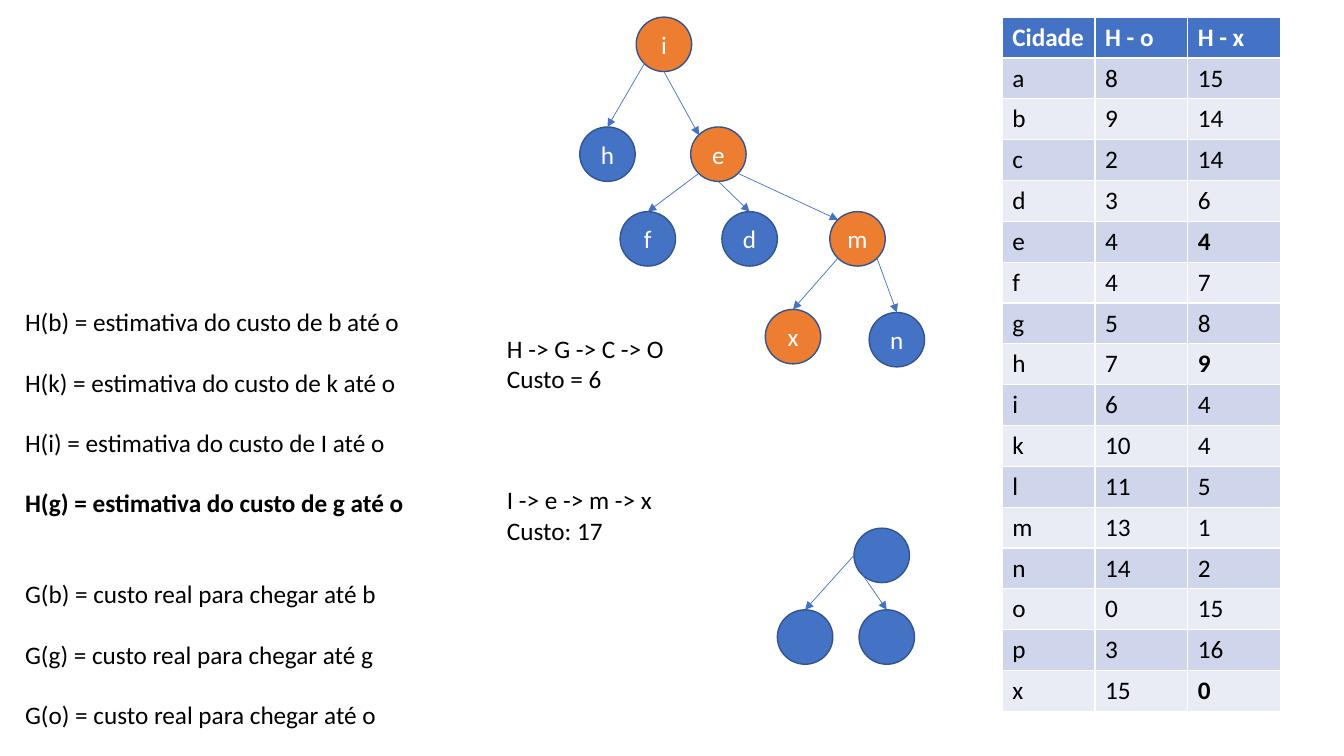
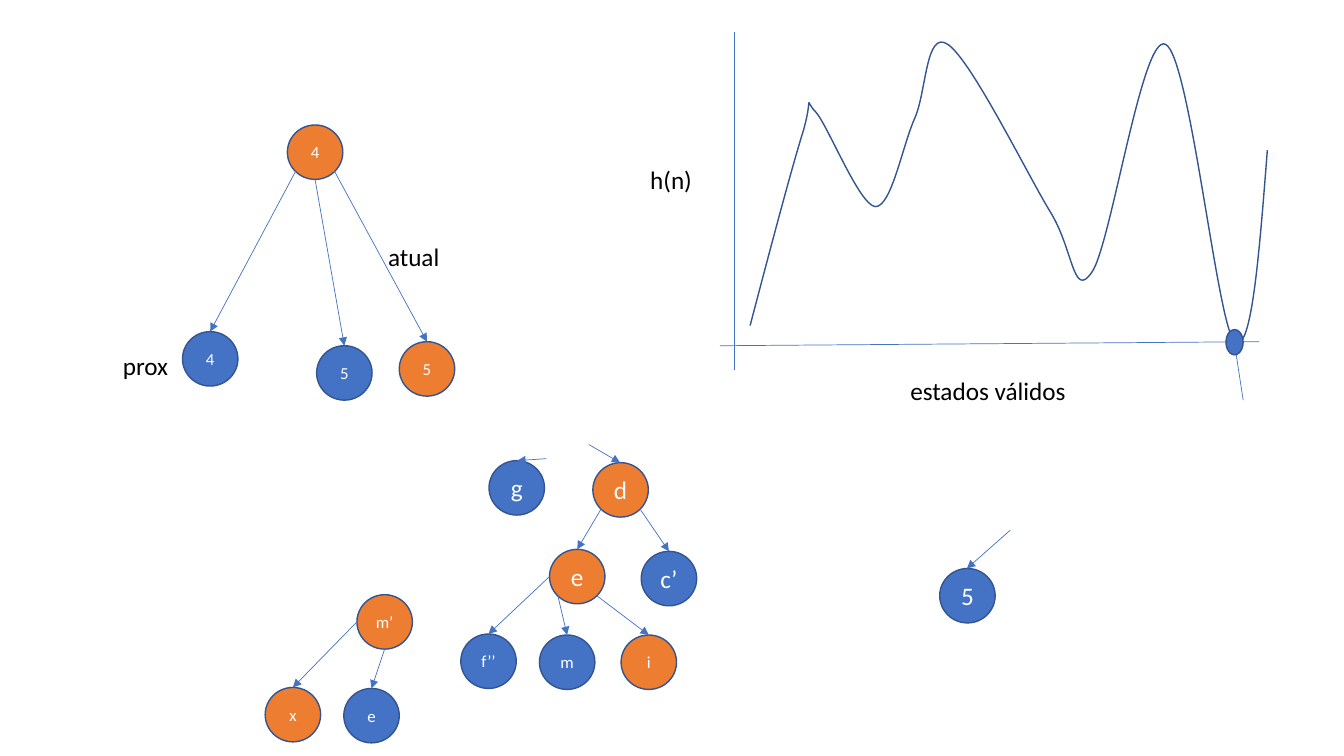
"""Builds two slides of search trees, a heuristic table and a state landscape."""
from dataclasses import dataclass
from pptx import Presentation
from pptx.dml.color import RGBColor
from pptx.enum.shapes import MSO_CONNECTOR as Link, MSO_SHAPE as Preset
from pptx.enum.text import MSO_ANCHOR as Anchor, PP_ALIGN as Align
from pptx.oxml.ns import qn
from pptx.util import Pt

SCALE = 9144


@dataclass(frozen=True)
class Theme:
    font: str = "Calibri"
    body: int = 18
    small: int = 12
    blank_line: float = 21.6
    blue: str = "4472C4"
    orange: str = "ED7D31"
    outline: str = "325491"
    white: str = "FFFFFF"
    black: str = "000000"
    bands: tuple = ("CFD5EA", "E9EBF5")
    node_size: tuple = (55, 54)
    outline_width: float = 1
    edge_width: float = 0.5


THEME = Theme()

SITES = {"N": (0.5, 0), "NW": (0.15, 0.15), "W": (0, 0.5),
         "SW": (0.15, 0.85), "S": (0.5, 1), "SE": (0.85, 0.85)}

ROUTE_NODES = {
    "i": ("i", 631, 17, THEME.orange), "h": ("h", 575, 126, THEME.blue),
    "e": ("e", 685, 126, THEME.orange), "f": ("f", 615, 210, THEME.blue),
    "d": ("d", 716, 210, THEME.blue), "m": ("m", 823, 210, THEME.orange),
    "x": ("x", 759, 307, THEME.orange), "n": ("n", 862, 310, THEME.blue),
    "empty root": ("", 847, 524, THEME.blue),
    "empty left": ("", 771, 605, THEME.blue),
    "empty right": ("", 852, 605, THEME.blue),
}
ROUTE_EDGES = [
    ("i", "SW", "h", "N"), ("i", "S", "e", "NW"), ("e", "SW", "f", "N"),
    ("e", "S", "d", "N"), ("e", "SE", "m", "NW"), ("m", "SW", "x", "N"),
    ("m", "SE", "n", "N"), ("empty root", "W", "empty left", "N"),
    ("empty root", "SW", "empty right", "N"),
]

FORMULAS = [
    ("H(b) = estimativa do custo de b até o", 0, False),
    ("H(k) = estimativa do custo de k até o", 1, False),
    ("H(i) = estimativa do custo de I até o", 1, False),
    ("H(g) = estimativa do custo de g até o", 1, True),
    ("G(b) = custo real para chegar até b", 2, False),
    ("G(g) = custo real para chegar até g", 1, False),
    ("G(o) = custo real para chegar até o", 1, False),
]
ROUTES = [
    ("H -> G -> C -> O", 0, False), ("Custo = 6", 0, False),
    ("I -> e -> m -> x", 3, False), ("Custo: 17", 0, False),
]

CITY_HEADER = ("Cidade", "H - o", "H - x")
CITIES = [
    ("a", 8, 15), ("b", 9, 14), ("c", 2, 14), ("d", 3, 6), ("e", 4, 4),
    ("f", 4, 7), ("g", 5, 8), ("h", 7, 9), ("i", 6, 4), ("k", 10, 4),
    ("l", 11, 5), ("m", 13, 1), ("n", 14, 2), ("o", 0, 15), ("p", 3, 16),
    ("x", 15, 0),
]
BOLD_CITIES = {"e", "h", "x"}

STATE_NODES = {
    "e": ("e", 545, 545, THEME.orange), "lone 5": ("5", 932, 564, THEME.blue),
    "d": ("d", 588, 459, THEME.orange), "g": ("g", 485, 457, THEME.blue),
    "c": ("c’", 636, 547, THEME.blue),
}
SMALL_NODES = {
    "f": ("f’’", 457, 629, THEME.blue), "m": ("m", 535, 630, THEME.blue),
    "i": ("i", 616, 630, THEME.orange), "top 4": ("4", 285, 124, THEME.orange),
    "left 4": ("4", 181, 329, THEME.blue), "mid 5": ("5", 314, 343, THEME.blue),
    "right 5": ("5", 396, 339, THEME.orange),
    "m root": ("m’", 354, 590, THEME.orange),
    "m left": ("x", 263, 682, THEME.orange),
    "m right": ("e", 341, 683, THEME.blue),
}
STATE_EDGES = [
    ("d", "SW", "e", "N"), ("d", "SE", "c", "N"), ("e", "W", "f", "N"),
    ("e", "SW", "m", "N"), ("e", "SE", "i", "N"), ("top 4", "SW", "left 4", "N"),
    ("top 4", "S", "mid 5", "N"), ("top 4", "SE", "right 5", "N"),
    ("m root", "W", "m left", "N"), ("m root", "S", "m right", "N"),
]
LOOSE_ARROWS = [
    ((1002, 526), (959, 564)), ((542, 455), (513, 457)),
    ((584, 441), (615, 459)), ((1233, 397), (1224, 338)),
]
AXES = [((728, 32), (728, 367)), ((714, 343), (1249, 339))]
STATE_LABELS = [
    ("atual", (375, 234, 72, 40)), ("prox", (112, 343, 66, 40)),
    ("estados válidos", (893, 367, 176, 40)), ("h(n)", (635, 158, 62, 40)),
]
CURVE_START = (744, 323)
CURVE = [
    ((765, 243), (786, 164), (797, 129)), ((807, 93), (797, 99), (809, 111)),
    ((821, 124), (852, 203), (868, 205)), ((884, 206), (895, 145), (907, 118)),
    ((919, 92), (918, 29), (940, 44)), ((963, 59), (1018, 171), (1041, 209)),
    ((1065, 247), (1064, 298), (1083, 270)),
    ((1102, 243), (1133, 32), (1156, 44)),
    ((1180, 55), (1207, 320), (1224, 338)),
    ((1241, 356), (1249, 252), (1257, 149)),
]
GOAL_DOT = (1216, 327, 17, 25)


def px(*lengths):
    return [round(length * SCALE) for length in lengths]


def rgb(color):
    return RGBColor.from_string(color)


def write(frame, text, size=THEME.body, color=THEME.black, bold=False,
          align=Align.LEFT, blank_lines=0, append=False):
    para = frame.add_paragraph() if append else frame.paragraphs[0]
    para.alignment = align
    para.space_before = Pt(blank_lines * THEME.blank_line)
    span = para.add_run()
    span.text = text
    font = span.font
    font.name, font.size, font.bold = THEME.font, Pt(size), bold
    font.color.rgb = rgb(color)


def add_text(page, lines, place):
    frame = page.shapes.add_textbox(*px(*place)).text_frame
    frame.word_wrap = False
    for index, (text, blank_lines, bold) in enumerate(lines):
        write(frame, text, bold=bold, blank_lines=blank_lines, append=index > 0)


def add_outline(shape):
    shape.shadow.inherit = False
    shape.line.color.rgb = rgb(THEME.outline)
    shape.line.width = Pt(THEME.outline_width)


def add_ellipse(page, place, fill):
    shape = page.shapes.add_shape(Preset.OVAL, *px(*place))
    add_outline(shape)
    shape.fill.solid()
    shape.fill.fore_color.rgb = rgb(fill)
    return shape


def add_nodes(page, nodes, size=THEME.body):
    for text, left, top, fill in nodes.values():
        frame = add_ellipse(page, (left, top, *THEME.node_size), fill).text_frame
        frame.word_wrap = False
        frame.vertical_anchor = Anchor.MIDDLE
        if text:
            write(frame, text, size=size, color=THEME.white, align=Align.CENTER)


def add_line(page, start, end, arrow=True):
    line = page.shapes.add_connector(Link.STRAIGHT, *px(*start, *end))
    line.line.color.rgb = rgb(THEME.blue)
    line.line.width = Pt(THEME.edge_width)
    properties = line._element.spPr
    properties.append(properties.makeelement(qn("a:effectLst"), {}))
    if arrow:
        outline = line.line._get_or_add_ln()
        outline.append(outline.makeelement(qn("a:tailEnd"), {"type": "triangle"}))


def site(node, side):
    _, left, top, _ = node
    width, height = THEME.node_size
    across, down = SITES[side]
    return left + across * width, top + down * height


def add_edges(page, nodes, edges):
    for parent, parent_side, child, child_side in edges:
        add_line(page, site(nodes[parent], parent_side),
                 site(nodes[child], child_side))


def add_city_table(page):
    rows = [CITY_HEADER, *CITIES]
    table = page.shapes.add_table(
        len(rows), len(CITY_HEADER), *px(994, 17, 276, 689)).table
    for row_index, row in enumerate(rows):
        header = row_index == 0
        fill = THEME.blue if header else THEME.bands[(row_index - 1) % 2]
        for column_index, value in enumerate(row):
            cell = table.cell(row_index, column_index)
            cell.fill.solid()
            cell.fill.fore_color.rgb = rgb(fill)
            marked = column_index == 2 and row[0] in BOLD_CITIES
            write(cell.text_frame, str(value), bold=header or marked,
                  color=THEME.white if header else THEME.black)


def add_curve(page, start, segments):
    anchors = [start, *(end for _, _, end in segments)]
    left, top = (min(values) for values in zip(*anchors))
    builder = page.shapes.build_freeform(*start, scale=SCALE)
    builder.add_line_segments(anchors[1:], close=False)
    shape = builder.convert_to_shape()
    add_outline(shape)
    shape.fill.background()
    pieces = list(shape._element.iter(qn("a:lnTo")))
    for piece, (*controls, _) in zip(pieces, segments):
        piece.tag = qn("a:cubicBezTo")
        for index, (x, y) in enumerate(controls):
            place = {"x": str(x - left), "y": str(y - top)}
            piece.insert(index, piece.makeelement(qn("a:pt"), place))


def build_route_page(page):
    add_nodes(page, ROUTE_NODES)
    add_edges(page, ROUTE_NODES, ROUTE_EDGES)
    add_text(page, FORMULAS, (15, 299, 399, 434))
    add_text(page, ROUTES, (493, 326, 178, 222))
    add_city_table(page)


def build_state_page(page):
    add_nodes(page, STATE_NODES)
    add_nodes(page, SMALL_NODES, size=THEME.small)
    add_edges(page, {**STATE_NODES, **SMALL_NODES}, STATE_EDGES)
    for start, end in LOOSE_ARROWS:
        add_line(page, start, end)
    for text, place in STATE_LABELS:
        add_text(page, [(text, 0, False)], place)
    for start, end in AXES:
        add_line(page, start, end, arrow=False)
    add_curve(page, CURVE_START, CURVE)
    add_ellipse(page, GOAL_DOT, THEME.blue)


def main():
    deck = Presentation()
    deck.slide_width, deck.slide_height = px(1333, 750)
    for build in (build_route_page, build_state_page):
        build(deck.slides.add_slide(deck.slide_layouts[6]))
    deck.save("out.pptx")


if __name__ == "__main__":
    main()
